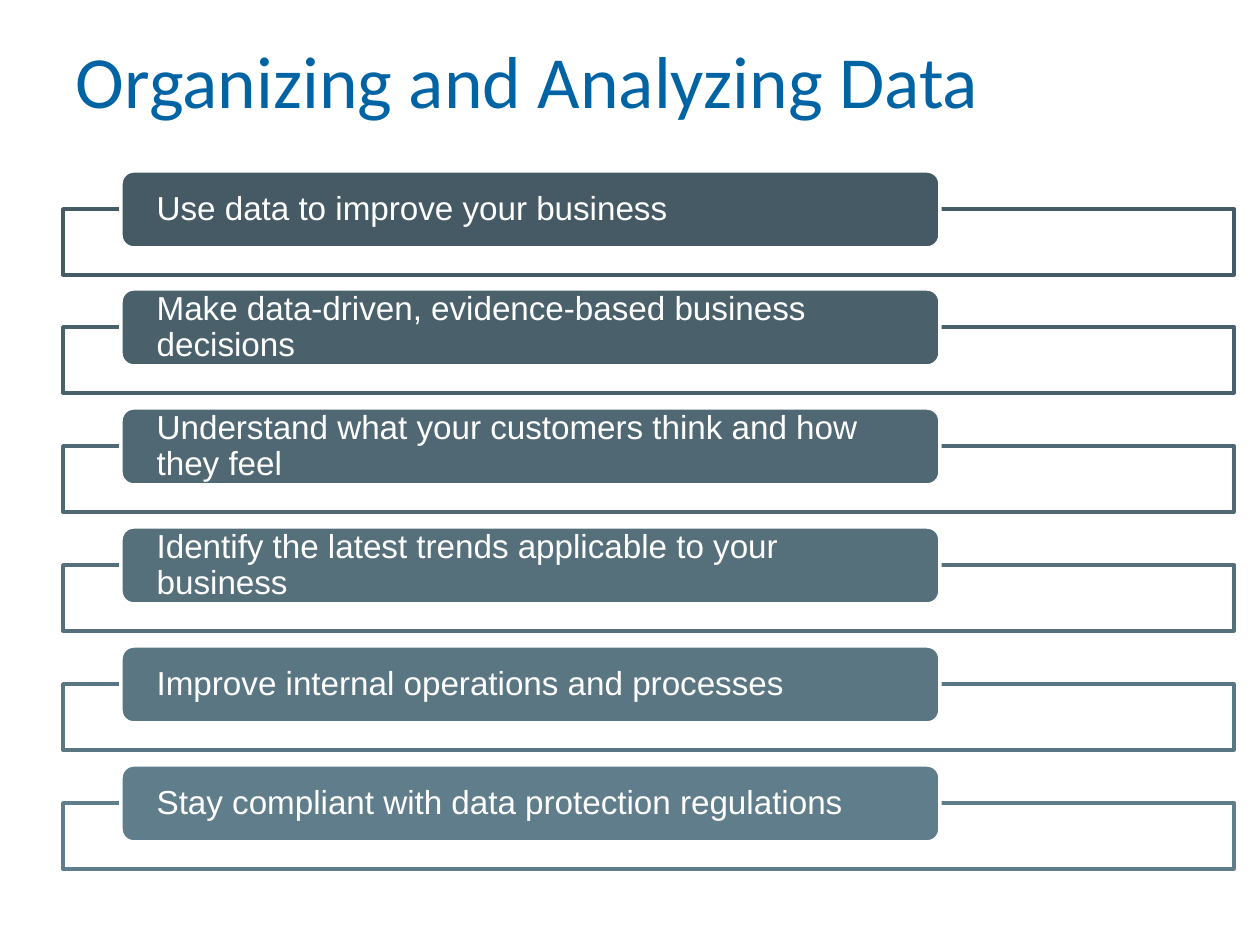
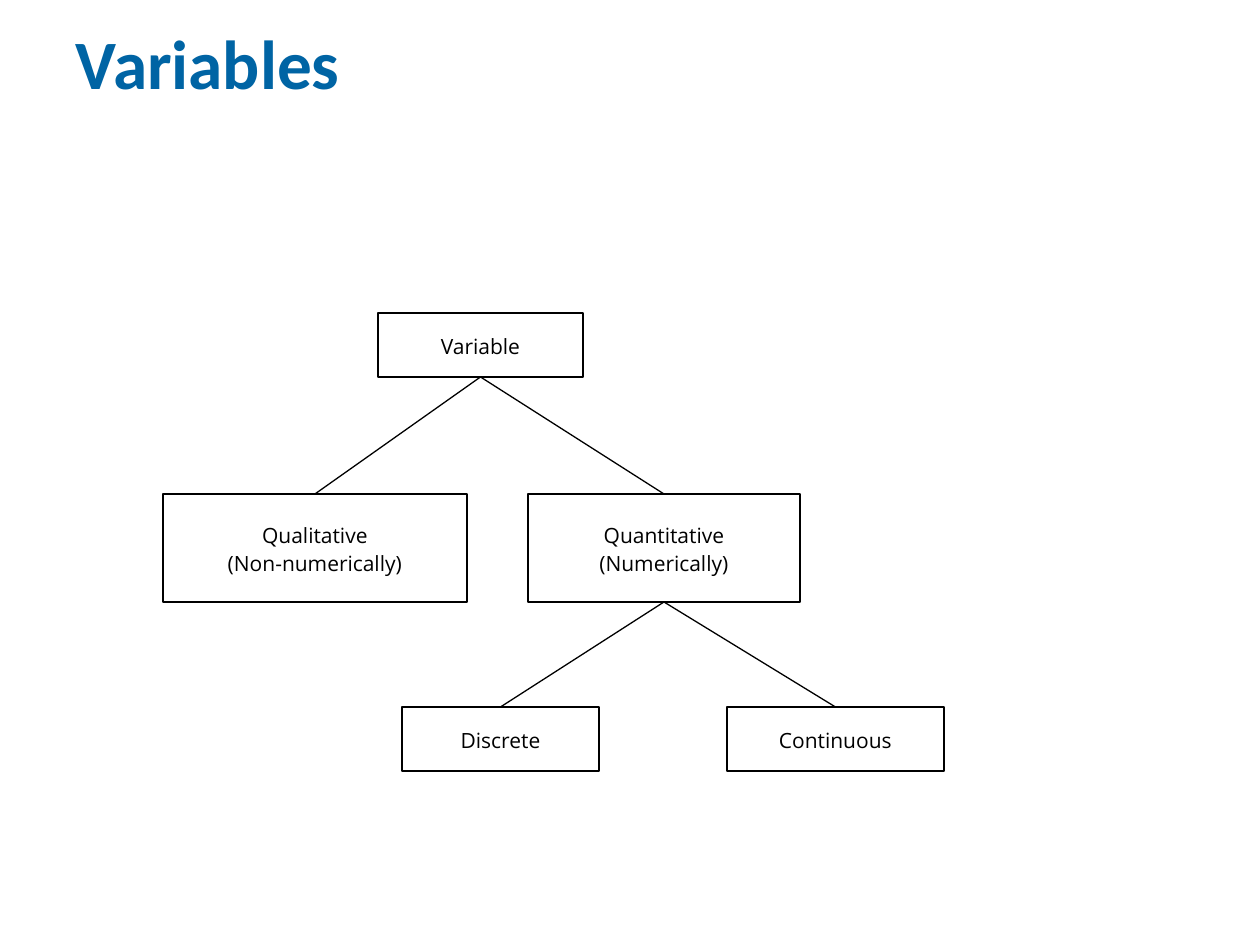
from lxml import etree
from pptx import Presentation
from pptx import util as u
from pptx.dml.color import RGBColor
from pptx.enum import shapes, text
from pptx.oxml.ns import qn

SCALE = 914400 / 126  # EMU in one px
WHITE, BLACK, BLUE = "FFFFFF", "000000", "0064A4"


def px(*lengths):
    return [round(length * SCALE) for length in lengths]


def write(shape, words, font, size, color, spacing, align, margins, bold=False):
    frame = shape.text_frame
    frame.word_wrap = True
    frame.vertical_anchor = text.MSO_ANCHOR.MIDDLE
    side, top = px(*margins)
    frame.margin_left = frame.margin_right = side
    frame.margin_top = frame.margin_bottom = top
    frame.text = words
    for para in frame.paragraphs:
        para.alignment = align
        para.line_spacing = spacing
        for span in para.runs:
            span.font.name = font
            span.font.size = u.Pt(size)
            span.font.bold = bold
            span.font.color.rgb = RGBColor.from_string(color)


LEFT, CENTER = text.PP_ALIGN.LEFT, text.PP_ALIGN.CENTER
RECT = shapes.MSO_SHAPE.RECTANGLE
ROUNDED = shapes.MSO_SHAPE.ROUNDED_RECTANGLE

deck = Presentation()
deck.slide_width, deck.slide_height = px(1260, 945)

# Pages and their titles: words, top, width, height, size, bold
titles = [
    ("Organizing and Analyzing Data", 24, 1152, 122, 42, False),
    ("Variables", 26, 1171, 82, 39.6, True),
]
pages = []
for words, top, width, height, size, bold in titles:
    page = deck.slides.add_slide(deck.slide_layouts[6])
    title = page.shapes.add_textbox(*px(63, top, width, height))
    write(title, words, "Calibri", size, BLUE, 0.9, LEFT, (13, 6), bold)
    pages.append(page)
reasons_page, variables_page = pages

# Reasons: an outlined frame behind each rounded bar
reasons = [
    ("Use data to improve your business", "455A64"),
    ("Make data-driven, evidence-based business decisions", "4A616C"),
    ("Understand what your customers think and how they feel", "506874"),
    ("Identify the latest trends applicable to your business", "556F7B"),
    ("Improve internal operations and processes", "5B7683"),
    ("Stay compliant with data protection regulations", "607D8B"),
]
for row, (reason, color) in enumerate(reasons):
    top = 171 + 594 * row // 5
    parts = [
        (RECT, (63, top + 38, 1171, 66), WHITE, color),
        (ROUNDED, (121, top, 819, 77), color, WHITE),
    ]
    for kind, place, fill, line in parts:
        bar = reasons_page.shapes.add_shape(kind, *px(*place))
        bar.shadow.inherit = False
        bar.fill.solid()
        bar.fill.fore_color.rgb = RGBColor.from_string(fill)
        bar.line.color.rgb = RGBColor.from_string(line)
        bar.line.width = u.Pt(2)
    write(bar, reason, "Arial", 19, WHITE, 0.9, LEFT, (32, 0))

# Tree of variables: words and place of each box
nodes = {
    "variable": ("Variable", 378, 313, 205, 64),
    "continuous": ("Continuous", 727, 707, 217, 64),
    "discrete": ("Discrete", 402, 707, 197, 64),
    "quantitative": ("Quantitative\n(Numerically)", 528, 494, 272, 108),
    "qualitative": ("Qualitative\n(Non-numerically)", 163, 494, 304, 108),
}
boxes = {}
for name, (words, *place) in nodes.items():
    box = variables_page.shapes.add_shape(RECT, *px(*place))
    box.shadow.inherit = False
    box.fill.solid()
    box.fill.fore_color.rgb = RGBColor.from_string(WHITE)
    box.line.color.rgb = RGBColor.from_string(BLACK)
    box.line.width = u.Pt(0.75)
    write(box, words, "Open Sans", 12, BLACK, 1.12, CENTER, (13, 13))
    boxes[name] = box

# Branches from the bottom of a parent to the top of a child
branches = [
    ("variable", "qualitative"),
    ("variable", "quantitative"),
    ("quantitative", "discrete"),
    ("quantitative", "continuous"),
]
for parent, child in branches:
    branch = variables_page.shapes.add_connector(
        shapes.MSO_CONNECTOR.STRAIGHT, 0, 0, 0, 0)
    branch.begin_connect(boxes[parent], 2)
    branch.end_connect(boxes[child], 0)
    branch.line.color.rgb = RGBColor.from_string(BLACK)
    branch.line.width = u.Pt(0.75)
    etree.SubElement(branch._element.spPr, qn("a:effectLst"))

deck.save("out.pptx")
